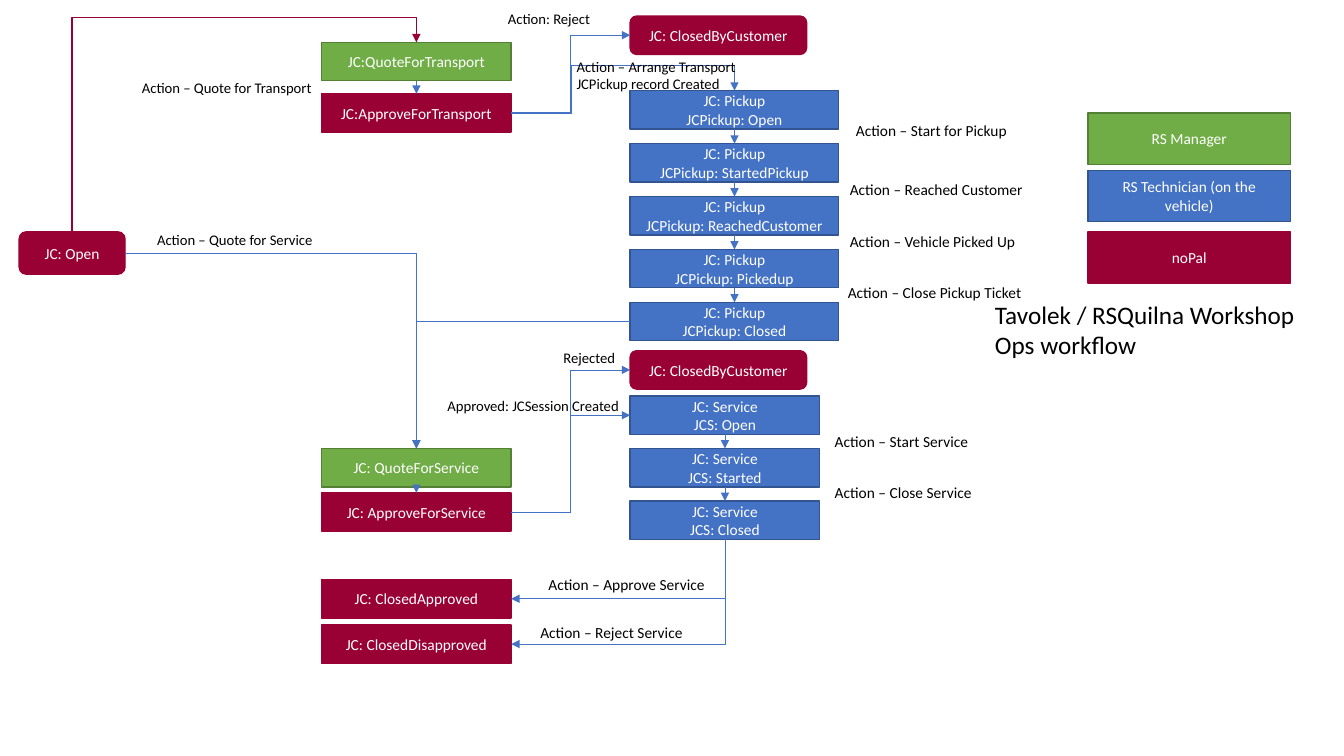
from lxml.etree import SubElement
from pptx import Presentation
from pptx.dml.color import RGBColor
from pptx.enum.shapes import MSO_CONNECTOR as LINK, MSO_SHAPE as SHAPE
from pptx.enum.text import MSO_ANCHOR as ANCHOR, PP_ALIGN as ALIGN
from pptx.oxml.ns import qn
from pptx.util import Inches, Pt

GREEN, GREEN_EDGE = RGBColor(0x70, 0xAD, 0x47), RGBColor(0x53, 0x80, 0x35)
BLUE, BLUE_EDGE = RGBColor(0x44, 0x72, 0xC4), RGBColor(0x32, 0x54, 0x91)
WINE = RGBColor(0x99, 0x00, 0x33)
WHITE, BLACK = RGBColor(0xFF, 0xFF, 0xFF), RGBColor(0, 0, 0)
ROLES = {"manager": (GREEN, GREEN_EDGE), "technician": (BLUE, BLUE_EDGE),
         "customer": (WINE, WINE)}

# Grid: column lefts, box sizes and chain steps, in inches
QUOTE_COL, WORK_COL, LEGEND_COL = 3.19, 6.25, 10.79
STEP_W, STEP_H, END_W, PICKUP_W = 1.88, 0.38, 1.75, 2.07
PICKUP_TOP, PICKUP_PITCH = 0.9, 0.525
SERVICE_TOP, SERVICE_PITCH = 3.93, 0.52

# Content: states of the job card (key: role, text, left, top, width, height)
pickup_states = ["Open", "StartedPickup", "ReachedCustomer", "Pickedup", "Closed"]
service_states = ["Open", "Started", "Closed"]
quote_states = [
    ("quote transport", "manager", "JC:QuoteForTransport", 0.42),
    ("approve transport", "customer", "JC:ApproveForTransport", 0.93),
    ("quote service", "manager", "JC: QuoteForService", 4.45),
    ("approve service", "customer", "JC: ApproveForService", 4.89),
    ("approved", "customer", "JC: ClosedApproved", 5.75),
    ("disapproved", "customer", "JC: ClosedDisapproved", 6.2),
]
legend = [("manager", "RS Manager", 1.12),
          ("technician", "RS Technician (on the vehicle)", 1.69),
          ("customer", "noPal", 2.3)]
rounded_states = {
    "open": ("customer", "JC: Open", 0.19, 2.3, 1.05, 0.42),
    "transport rejected": ("customer", "JC: ClosedByCustomer", WORK_COL, 0.16, END_W, STEP_H),
    "service rejected": ("customer", "JC: ClosedByCustomer", WORK_COL, 3.48, END_W, STEP_H),
}
states = {key: (role, text, QUOTE_COL, top, STEP_W, STEP_H)
          for key, role, text, top in quote_states}
states |= {f"pickup {i}": ("technician", f"JC: Pickup\nJCPickup: {name}", WORK_COL,
                           PICKUP_TOP + i * PICKUP_PITCH, PICKUP_W, STEP_H)
           for i, name in enumerate(pickup_states)}
states |= {f"service {i}": ("technician", f"JC: Service\nJCS: {name}", WORK_COL,
                            SERVICE_TOP + i * SERVICE_PITCH, STEP_W, STEP_H)
           for i, name in enumerate(service_states)}
states |= {text: (role, text, LEGEND_COL, top, 2.01, 0.51) for role, text, top in legend}
states |= rounded_states

# Content: straight steps down, then bent routes
# (from, side, to, side, preset, adjustments, starts downward or upward, colour, weight)
steps = [("quote transport", "approve transport"), ("quote service", "approve service")]
steps += [(f"pickup {i}", f"pickup {i + 1}") for i in range(len(pickup_states) - 1)]
steps += [(f"service {i}", f"service {i + 1}") for i in range(len(service_states) - 1)]
THIN = (BLUE, 0.5)
routes = [
    ("open", "top", "quote transport", "top", "bentConnector3", [1.13], True, WINE, 1),
    ("open", "right", "quote service", "top", "bentConnector2", [], False, *THIN),
    ("pickup 4", "left", "quote service", "top", "bentConnector2", [], False, *THIN),
    ("approve transport", "right", "transport rejected", "left", "bentConnector3", [0.5], False, *THIN),
    ("approve transport", "right", "pickup 0", "top", "bentConnector4", [0.27, 2.14], False, *THIN),
    ("approve service", "right", "service rejected", "left", "bentConnector3", [0.5], False, *THIN),
    ("approve service", "right", "service 0", "left", "bentConnector3", [0.5], False, *THIN),
    ("service 2", "bottom", "approved", "right", "bentConnector2", [], True, *THIN),
    ("service 2", "bottom", "disapproved", "right", "bentConnector2", [], True, *THIN),
]
routes += [(a, "bottom", b, "top", "line", [], False, *THIN) for a, b in steps]

# Content: labels (text, left, top, width, height, size, wraps)
labels = [
    ("Tavolek / RSQuilna Workshop\nOps workflow", 9.77, 2.92, 3.17, 0.71, 18, False),
    ("Action – Arrange Transport\nJCPickup record Created", 5.62, 0.52, 1.82, 0.45, 10.5, False),
    ("Action: Reject", 4.94, 0.05, 1.03, 0.28, 10.5, False),
    ("Rejected", 5.49, 3.41, 0.73, 0.28, 10.5, False),
    ("Approved: JCSession Created", 4.34, 3.89, 1.94, 0.28, 10.5, False),
    ("Action – Quote for Transport", 1.31, 0.73, 1.93, 0.28, 10.5, False),
    ("Action – Quote for Service", 1.46, 2.24, 1.77, 0.28, 10.5, False),
]
labels += [(f"Action – {action}", left, top, 2.15, 0.29, 11, True) for action, left, top in [
    ("Start for Pickup", 8.39, 1.15), ("Reached Customer", 8.33, 1.74),
    ("Vehicle Picked Up", 8.33, 2.25), ("Close Pickup Ticket", 8.31, 2.76),
    ("Start Service", 8.18, 4.24), ("Close Service", 8.18, 4.74),
    ("Approve Service", 5.34, 5.66), ("Reject Service", 5.26, 6.13)]]

deck = Presentation()
deck.slide_width, deck.slide_height = Inches(13.33), Inches(7.5)
slide = deck.slides.add_slide(deck.slide_layouts[6])


def write(frame, text, size, color, align):
    frame.text = text
    for paragraph in frame.paragraphs:
        paragraph.alignment = align
        look = {"name": "Calibri", "size": Pt(size)}
        for attribute, value in look.items():
            setattr(paragraph.font, attribute, value)
        paragraph.font.color.rgb = color


def port(key, side):
    left, top, width, height = states[key][2:]
    across, down = {"top": (0.5, 0), "bottom": (0.5, 1),
                    "left": (0, 0.5), "right": (1, 0.5)}[side]
    return left + across * width, top + down * height


def connect(start, end, preset, adjustments, upright, color, weight):
    (x1, y1), (x2, y2) = start, end
    if upright:  # lay the route on its side; the quarter turn below raises it
        cx, cy = (x1 + x2) / 2, (y1 + y2) / 2
        x1, y1, x2, y2 = cx + y1 - cy, cy - x1 + cx, cx + y2 - cy, cy - x2 + cx
    route = slide.shapes.add_connector(LINK.ELBOW, *map(Inches, (x1, y1, x2, y2)))
    route.line.color.rgb, route.line.width = color, Pt(weight)
    props = route._element.spPr
    if upright:
        props.find(qn("a:xfrm")).set("rot", str(90 * 60000))
    geometry = props.find(qn("a:prstGeom"))
    geometry.set("prst", preset)
    guides = geometry.find(qn("a:avLst"))
    if guides is None:
        guides = SubElement(geometry, qn("a:avLst"))
    for i, share in enumerate(adjustments, 1):
        name = "adj1" if len(adjustments) == 1 else f"adj{i}"
        SubElement(guides, qn("a:gd"), name=name, fmla=f"val {round(share * 100000)}")
    SubElement(props.find(qn("a:ln")), qn("a:tailEnd"), type="triangle")
    SubElement(props, qn("a:effectLst"))


# State boxes and legend
for key, (role, text, *place) in states.items():
    kind = SHAPE.ROUNDED_RECTANGLE if key in rounded_states else SHAPE.RECTANGLE
    box = slide.shapes.add_shape(kind, *map(Inches, place))
    box.shadow.inherit = False
    box.fill.solid()
    box.fill.fore_color.rgb, box.line.color.rgb = ROLES[role]
    box.line.width = Pt(1)
    box.text_frame.vertical_anchor = ANCHOR.MIDDLE
    box.text_frame.word_wrap = True
    write(box.text_frame, text, 11, WHITE, ALIGN.CENTER)

# Arrows
for source, out_side, target, in_side, *style in routes:
    connect(port(source, out_side), port(target, in_side), *style)

# Action labels and title
for text, left, top, width, height, size, wraps in labels:
    label = slide.shapes.add_textbox(*map(Inches, (left, top, width, height)))
    label.text_frame.word_wrap = wraps
    write(label.text_frame, text, size, BLACK, ALIGN.LEFT)

deck.save("out.pptx")
